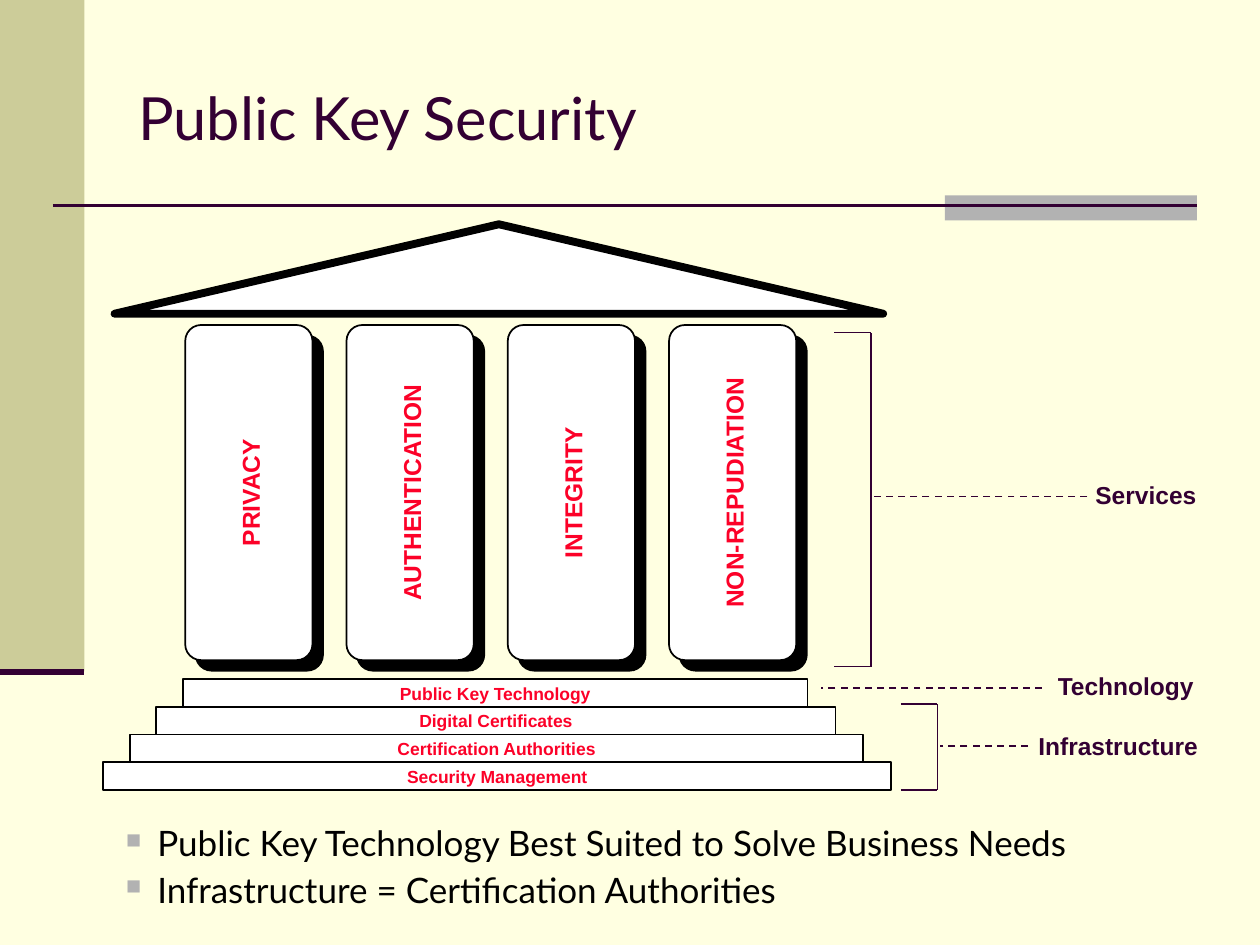
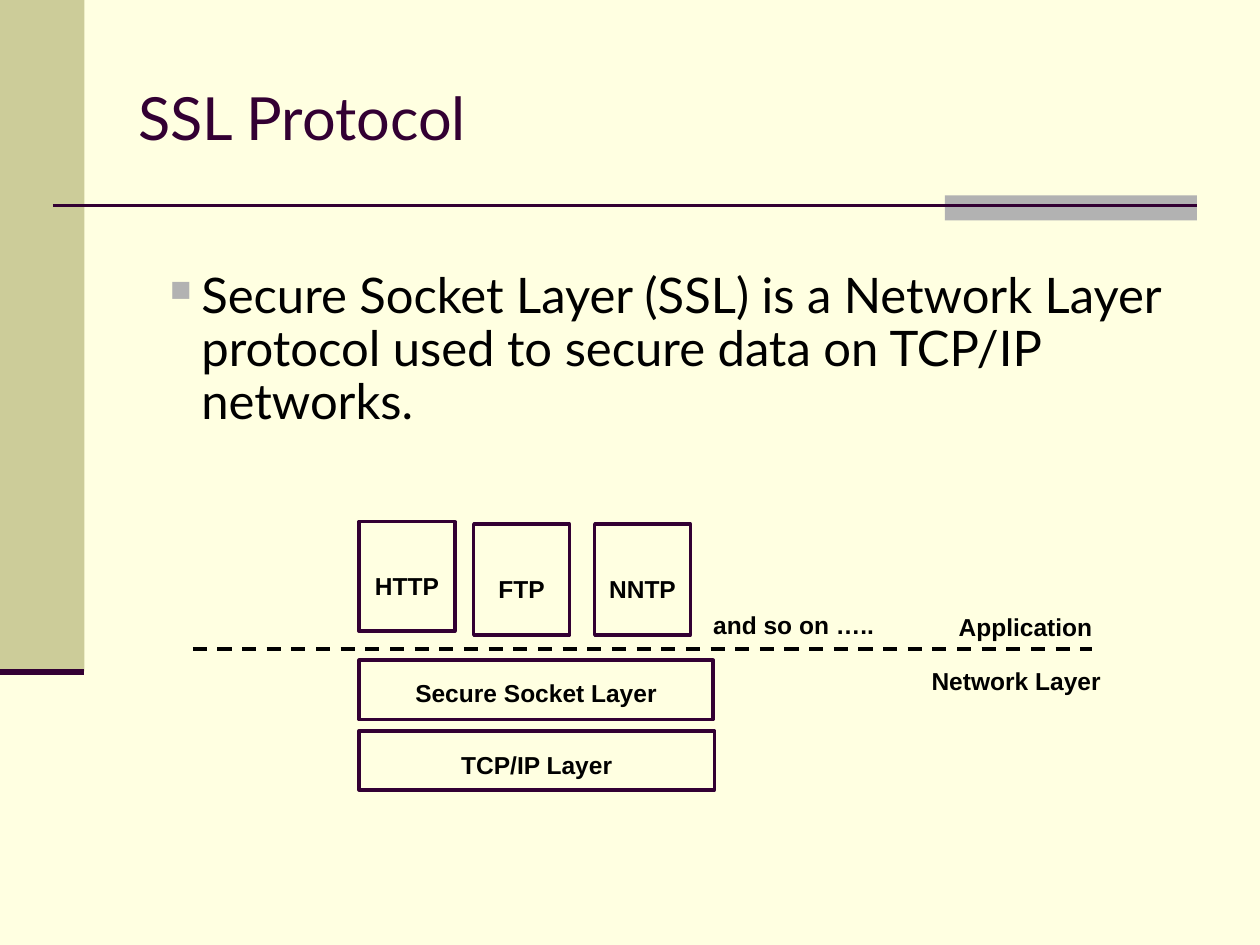
from lxml import etree
from pptx import Presentation
from pptx.dml.color import RGBColor
from pptx.enum.dml import MSO_LINE
from pptx.enum.shapes import MSO_CONNECTOR as CONN, MSO_SHAPE as SHAPE
from pptx.enum.text import MSO_ANCHOR as ANCHOR, PP_ALIGN as ALIGN
from pptx.oxml.ns import qn
from pptx.util import Inches, Pt

COLORS = {
    "background": "FFFFE1",
    "band": "CCCC99",
    "gray": "B2B2B2",
    "plum": "330033",
    "red": "FC0128",
    "white": "FFFFFF",
    "black": "000000",
}
HEADING_FONT = "Lato"
LABEL_FONT = "Arial"


def rgb(name):
    return RGBColor.from_string(COLORS[name])


def add_xml(parent, tag, **attrs):
    return etree.SubElement(parent, qn(tag), attrs)


def style_font(p, size, color, name=LABEL_FONT, bold=True):
    p.font.size = Pt(size)
    p.font.name = name
    p.font.bold = bold
    p.font.color.rgb = rgb(color)


def set_label(sp, text, size, color, spacing=None, insets=(0, 0, 0, 0)):
    """Write one centred bold line; insets run left, top, right, bottom."""
    tf = sp.text_frame
    tf.word_wrap = False
    tf.margin_left, tf.margin_top, tf.margin_right, tf.margin_bottom = map(Inches, insets)
    p = tf.paragraphs[0]
    p.text = text
    p.alignment = ALIGN.CENTER
    p.line_spacing = spacing
    style_font(p, size, color)


def add_box(s, kind, box, fill=None, line=None, width=1):
    sp = s.shapes.add_shape(kind, *map(Inches, box))
    sp.shadow.inherit = False
    if fill:
        sp.fill.solid()
        sp.fill.fore_color.rgb = rgb(fill)
    else:
        sp.fill.background()
    if line:
        sp.line.color.rgb = rgb(line)
        sp.line.width = Pt(width)
    else:
        sp.line.fill.background()
    return sp


def add_line(s, start, end, color="plum", width=1, dashed=False):
    line = s.shapes.add_connector(CONN.STRAIGHT, *map(Inches, start + end))
    line.line.color.rgb = rgb(color)
    line.line.width = Pt(width)
    if dashed:
        line.line.dash_style = MSO_LINE.DASH
    add_xml(line._element.spPr, "a:effectLst")


def add_bracket(s, left, right, top, bottom):
    add_line(s, (left, top), (right, top))
    add_line(s, (left, bottom), (right, bottom))
    add_line(s, (right, bottom), (right, top))


def add_label(s, box, text, color, spacing=None):
    sp = s.shapes.add_textbox(*map(Inches, box))
    set_label(sp, text, 14, color, spacing, (0.1, 0.05, 0.1, 0.05))


def add_bullets(s, box, items, size, gap):
    tf = s.shapes.add_textbox(*map(Inches, box)).text_frame
    tf.word_wrap = True
    for i, item in enumerate(items):
        p = tf.add_paragraph() if i else tf.paragraphs[0]
        p.text = item
        p.line_spacing = 0.9
        p.space_before = Pt(gap if i else 0)
        pPr = p._p.get_or_add_pPr()
        pPr.set("marL", str(Inches(0.25)))
        pPr.set("indent", str(Inches(-0.25)))
        add_xml(add_xml(pPr, "a:buClr"), "a:srgbClr", val=COLORS["gray"])
        add_xml(pPr, "a:buSzPct", val="60000")
        add_xml(pPr, "a:buChar", char="■")
        style_font(p, size, "black", HEADING_FONT, False)


def add_pillar(s, left, text):
    sp = add_box(s, SHAPE.ROUNDED_RECTANGLE, (left, 2.58, 1.01, 2.66), "white", "black")
    sp.adjustments[0] = 0.125
    shadow = add_xml(sp._element.spPr.find(qn("a:effectLst")), "a:outerShdw",
                     dist=str(Pt(8.5)), dir="2700000", algn="ctr", rotWithShape="0")
    add_xml(shadow, "a:srgbClr", val=COLORS["black"])
    set_label(sp, text, 14, "red", 0.9, (0.05, 0, 0, 0))
    sp.text_frame._txBody.bodyPr.set("vert", "vert270")


def add_base_slide(prs, title):
    """Add a blank slide with the side band, title rule and title."""
    s = prs.slides.add_slide(prs.slide_layouts[6])
    s.background.fill.solid()
    s.background.fill.fore_color.rgb = rgb("background")
    add_box(s, SHAPE.RECTANGLE, (0, 0, 0.67, 5.33), "band")
    add_box(s, SHAPE.RECTANGLE, (7.5, 1.55, 2, 0.2), "gray")
    add_line(s, (0.42, 1.63), (9.5, 1.63), width=1.5)
    add_line(s, (0, 5.33), (0.67, 5.33), width=3.5)
    tf = s.shapes.add_textbox(*map(Inches, (1, 0.3, 8.5, 1.25))).text_frame
    tf.word_wrap = True
    tf.vertical_anchor = ANCHOR.MIDDLE
    p = tf.paragraphs[0]
    p.text = title
    style_font(p, 34, "plum", HEADING_FONT, False)
    return s


def add_temple_slide(prs):
    s = add_base_slide(prs, "Public Key Security")

    steps = ("Public Key Technology", "Digital Certificates",
             "Certification Authorities", "Security Management")
    for i, text in enumerate(steps):
        box = (1.45 - 0.21 * i, 5.39 + 0.22 * i, 4.96 + 0.43 * i, 0.22)
        step = add_box(s, SHAPE.RECTANGLE, box, "white", "black")
        set_label(step, text, 10, "red")

    add_box(s, SHAPE.ISOSCELES_TRIANGLE, (0.91, 1.78, 6.1, 0.71), "white", "black", 4.5)
    pillars = ("PRIVACY", "AUTHENTICATION", "INTEGRITY", "NON-REPUDIATION")
    for i, text in enumerate(pillars):
        add_pillar(s, 1.47 + 1.28 * i, text)

    add_bracket(s, 6.62, 6.91, 2.64, 5.29)
    add_bracket(s, 7.15, 7.44, 5.59, 6.27)
    layers = (
        ("Services", (8.36, 3.79, 1.47, 0.29), 8.63, 6.94, 3.94),
        ("Technology", (8.2, 5.3, 1.47, 0.29), 8.27, 6.52, 5.46),
        ("Infrastructure", (8.06, 5.78, 1.63, 0.29), 8.16, 7.46, 5.92),
    )
    for text, box, start, end, y in layers:
        add_label(s, box, text, "plum", 0.9)
        add_line(s, (start, y), (end, y), dashed=True)

    add_bullets(s, (0.9, 6.51, 8.23, 0.6), (
        "Public Key Technology Best Suited to Solve Business Needs",
        "Infrastructure = Certification Authorities",
    ), 20, 5)


def add_ssl_slide(prs):
    s = add_base_slide(prs, "SSL Protocol")
    add_bullets(s, (1.25, 2.1, 8.08, 1.29), (
        "Secure Socket Layer (SSL) is a Network Layer protocol used to secure "
        "data on TCP/IP networks.",
    ), 28, 7)

    blocks = (
        ("HTTP", (2.85, 4.14, 0.76, 0.87), 0.14),
        ("FTP", (3.76, 4.16, 0.76, 0.88), 0.14),
        ("NNTP", (4.72, 4.16, 0.76, 0.88), 0.14),
        ("Secure Socket Layer", (2.85, 5.24, 2.81, 0.47), 0.04),
        ("TCP/IP Layer", (2.85, 5.8, 2.82, 0.47), 0.07),
    )
    for text, box, top_inset in blocks:
        block = add_box(s, SHAPE.RECTANGLE, box, line="plum", width=2)
        set_label(block, text, 14, "black", insets=(0, top_inset, 0, 0))

    add_line(s, (1.53, 5.15), (8.67, 5.15), "black", 2, dashed=True)
    add_label(s, (5.56, 4.79, 1.48, 0.33), "and so on …..", "black")
    add_label(s, (7.51, 4.81, 1.26, 0.33), "Application", "black")
    add_label(s, (7.29, 5.24, 1.55, 0.33), "Network Layer", "black")


def main():
    prs = Presentation()
    prs.slide_width, prs.slide_height = Inches(10), Inches(7.5)
    add_temple_slide(prs)
    add_ssl_slide(prs)
    prs.save("out.pptx")


if __name__ == "__main__":
    main()
